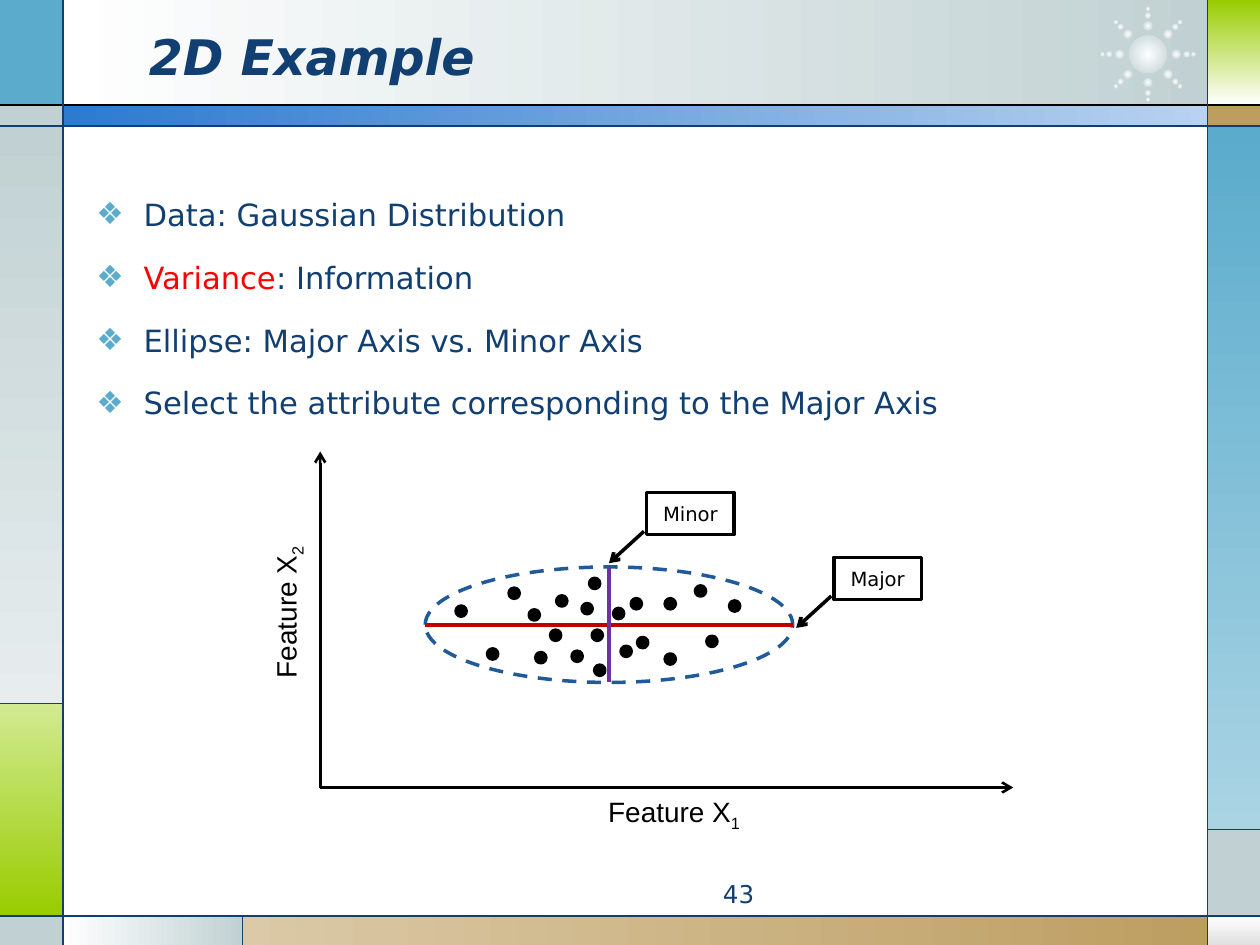
from dataclasses import dataclass
from math import cos, radians, sin
from typing import NamedTuple

from lxml.etree import SubElement
from pptx import Presentation
from pptx.dml.color import RGBColor
from pptx.enum.dml import MSO_LINE
from pptx.enum.shapes import MSO_CONNECTOR, MSO_SHAPE
from pptx.enum.text import MSO_ANCHOR, PP_ALIGN
from pptx.oxml.ns import qn
from pptx.util import Pt


class Box(NamedTuple):
    left: float
    top: float
    width: float
    height: float


@dataclass(frozen=True)
class Theme:
    navy: str = "113F71"
    sky: str = "5AABCC"
    pale_sky: str = "AAD4E4"
    gray: str = "C1D1D3"
    pale_gray: str = "E7EDEE"
    green: str = "99CC00"
    pale_green: str = "D2EA92"
    tan: str = "BD9E61"
    pale_tan: str = "DBC9A7"
    blue: str = "2D7ACF"
    pale_blue: str = "B8D2EF"
    white: str = "FFFFFF"
    silver: str = "E0E0E0"
    black: str = "000000"
    highlight: str = "FF0000"
    ellipse: str = "215A99"
    major: str = "C00000"
    minor: str = "7030A0"
    font: str = "DejaVu Sans"
    axis_font: str = "Arial"
    title_size: float = 28
    body_size: float = 17.5
    axis_size: float = 16
    number_size: float = 14
    callout_size: float = 11.2


THEME = Theme()
RIGHT, DOWN = 0, 270

BULLETS = [
    [("Data: Gaussian Distribution", THEME.navy)],
    [("Variance", THEME.highlight), (": Information", THEME.navy)],
    [("Ellipse: Major Axis vs. Minor Axis", THEME.navy)],
    [("Select the attribute corresponding to the Major Axis", THEME.navy)],
]

# Centres of the samples, in points from the top left of the plot
SAMPLES = [
    (138, 85.4), (152.5, 89.8), (134.5, 105), (146.8, 117), (98.5, 115.7),
    (180.6, 87), (200, 118.6), (174.8, 114.2), (217.3, 79.7), (184.2, 109.2),
    (110.8, 81), (122.3, 93.4), (200, 87), (236.8, 88.3), (223.8, 108.5),
    (126, 117.8), (159.7, 125), (80.5, 91.2), (156.8, 75.4), (158.3, 105),
    (170.5, 92.6),
]


def color(code):
    return RGBColor.from_string(code)


def add_arrowhead(shape):
    SubElement(shape.line._get_or_add_ln(), qn("a:tailEnd"), type="arrow")


def add_figure(slide, kind, box, fill=None, line=None, weight=2, direction=RIGHT):
    """Add a preset shape; a pair of colours as fill makes a gradient."""
    shape = slide.shapes.add_shape(kind, *map(Pt, box))
    shape.shadow.inherit = False
    if fill is None:
        shape.fill.background()
    elif isinstance(fill, tuple):
        shape.fill.gradient()
        shape.fill.gradient_angle = direction
        for stop, code in zip(shape.fill.gradient_stops, fill):
            stop.color.rgb = color(code)
    else:
        shape.fill.solid()
        shape.fill.fore_color.rgb = color(fill)
    if line is None:
        shape.line.fill.background()
    else:
        shape.line.color.rgb = color(line)
        shape.line.width = Pt(weight)
    return shape


def add_line(slide, start, end, line, weight=0.75, arrow=False):
    connector = slide.shapes.add_connector(MSO_CONNECTOR.STRAIGHT, *map(Pt, start + end))
    connector.line.color.rgb = color(line)
    connector.line.width = Pt(weight)
    SubElement(connector._element.spPr, qn("a:effectLst"))
    if arrow:
        add_arrowhead(connector)


def add_run(paragraph, text, size, code=THEME.navy, font=THEME.font, bold=None,
            italic=None, baseline=None):
    run = paragraph.add_run()
    run.text = text
    run.font.size, run.font.name = Pt(size), font
    run.font.bold, run.font.italic = bold, italic
    run.font.color.rgb = color(code)
    if baseline:
        run.font._element.set("baseline", str(baseline * 1000))


def add_text_frame(slide, box, wrap=True, anchor=MSO_ANCHOR.TOP, rotation=0):
    shape = slide.shapes.add_textbox(*map(Pt, box))
    shape.rotation = rotation
    shape.text_frame.word_wrap = wrap
    shape.text_frame.vertical_anchor = anchor
    return shape.text_frame


def add_frame(slide, box):
    """Colour bands along the four edges, with the lines between them."""
    left, top, width, height = box
    right, bottom = left + width, top + height
    inner_left, inner_right = left + 36, right - 30
    header, bar, footer = top + 60, top + 72, bottom - 16.5
    green_top, gray_top, tan_left = top + 402, top + 474, left + 138.5
    bands = [
        (inner_left, top, inner_right, header, (THEME.white, THEME.gray), RIGHT),
        (left, top, inner_left, header, THEME.sky, RIGHT),
        (left, header, inner_left, bar, THEME.gray, RIGHT),
        (left, bar, inner_left, green_top, (THEME.gray, THEME.pale_gray), DOWN),
        (left, green_top, inner_left, footer, (THEME.pale_green, THEME.green), DOWN),
        (left, footer, inner_left, bottom, THEME.gray, RIGHT),
        (inner_left, footer, tan_left, bottom, (THEME.white, THEME.gray), RIGHT),
        (tan_left, footer, inner_right, bottom, (THEME.pale_tan, THEME.tan), RIGHT),
        (inner_right, footer, right, bottom, (THEME.white, THEME.silver), DOWN),
        (inner_right, gray_top, right, footer, THEME.gray, RIGHT),
        (inner_right, bar, right, gray_top, (THEME.sky, THEME.pale_sky), DOWN),
        (inner_right, header, right, bar, THEME.tan, RIGHT),
        (inner_right, top, right, header, (THEME.green, THEME.white), DOWN),
        (inner_left, header, inner_right, bar, (THEME.blue, THEME.pale_blue), RIGHT),
    ]
    for x1, y1, x2, y2, fill, direction in bands:
        add_figure(slide, MSO_SHAPE.RECTANGLE, Box(x1, y1, x2 - x1, y2 - y1), fill,
                   direction=direction)
    add_line(slide, (left, header), (right, header), THEME.black)
    for start, end in [
        ((left, bar), (right, bar)),
        ((left, footer), (right, footer)),
        ((inner_left, top), (inner_left, bottom)),
        ((inner_right, top), (inner_right, bottom)),
        ((left, green_top), (inner_left, green_top)),
        ((tan_left, footer), (tan_left, bottom)),
        ((inner_right, gray_top), (right, gray_top)),
    ]:
        add_line(slide, start, end, THEME.navy)


def add_starburst(slide, box):
    """A glowing disc with eight rays of three shrinking dots."""
    center_x, center_y = box.left + box.width / 2, box.top + box.height / 2

    def add_glow(x, y, size):
        glow = add_figure(slide, MSO_SHAPE.OVAL, Box(x - size / 2, y - size / 2, size, size),
                          (THEME.white, THEME.gray))
        gradient = glow._element.spPr.find(qn("a:gradFill"))
        gradient.remove(gradient.find(qn("a:lin")))
        shade = SubElement(gradient, qn("a:path"), path="circle")
        SubElement(shade, qn("a:fillToRect"), l="50000", t="50000", r="50000", b="50000")

    add_glow(center_x, center_y, box.width * 0.4)
    for angle in range(0, 360, 45):
        for reach, size in [(0.3, 5.2), (0.41, 3.5), (0.48, 2.5)]:
            add_glow(center_x + box.width * reach * cos(radians(angle)),
                     center_y + box.height * reach * sin(radians(angle)), size)


def add_title(slide, box, text):
    paragraph = add_text_frame(slide, box, anchor=MSO_ANCHOR.MIDDLE).paragraphs[0]
    add_run(paragraph, text, THEME.title_size, bold=True, italic=True)


def add_bullets(slide, box, items):
    frame = add_text_frame(slide, box)
    for index, runs in enumerate(items):
        paragraph = frame.add_paragraph() if index else frame.paragraphs[0]
        paragraph.line_spacing = 1.5
        paragraph.space_before = Pt(4.4 if index else 0)
        properties = paragraph._p.get_or_add_pPr()
        properties.set("marL", str(Pt(27)))
        properties.set("indent", str(Pt(-27)))
        SubElement(SubElement(properties, qn("a:buClr")), qn("a:srgbClr"), val=THEME.sky)
        SubElement(properties, qn("a:buFont"), typeface=THEME.font)
        SubElement(properties, qn("a:buChar"), char="❖")
        for text, code in runs:
            add_run(paragraph, text, THEME.body_size, code)


def add_page_number(slide, box, number):
    paragraph = add_text_frame(slide, box).paragraphs[0]
    paragraph.alignment = PP_ALIGN.RIGHT
    add_run(paragraph, number, THEME.number_size)


def add_axis_label(slide, box, subscript, rotation=0):
    paragraph = add_text_frame(slide, box, wrap=False, rotation=rotation).paragraphs[0]
    style = dict(size=THEME.axis_size, code=THEME.black, font=THEME.axis_font)
    add_run(paragraph, "Feature X", **style)
    add_run(paragraph, subscript, baseline=-25, **style)


def add_callout(slide, box, text):
    callout = add_figure(slide, MSO_SHAPE.LINE_CALLOUT_1, box, line=THEME.black)
    for index, value in enumerate([0.92, -0.03, 1.68, -0.43]):
        callout.adjustments[index] = value
    add_arrowhead(callout)
    frame = callout.text_frame
    frame.margin_top = frame.margin_bottom = 0
    frame.vertical_anchor = MSO_ANCHOR.MIDDLE
    frame.paragraphs[0].alignment = PP_ALIGN.CENTER
    add_run(frame.paragraphs[0], text, THEME.callout_size, THEME.black)


def add_plot(slide, box):
    left, top, width, height = box
    cloud = Box(left + 60, top + 66, 210, 66)
    middle_x, middle_y = cloud.left + cloud.width / 2, cloud.top + cloud.height / 2
    outline = add_figure(slide, MSO_SHAPE.OVAL, cloud, line=THEME.ellipse)
    outline.line.dash_style = MSO_LINE.DASH
    add_line(slide, (cloud.left, middle_y), (cloud.left + cloud.width, middle_y),
             THEME.major, 2.25)
    add_line(slide, (middle_x, cloud.top), (middle_x, cloud.top + cloud.height),
             THEME.minor, 2.25)
    dot = 5.8
    for x, y in SAMPLES:
        add_figure(slide, MSO_SHAPE.OVAL,
                   Box(left + x - dot / 2, top + y - dot / 2, dot, dot),
                   THEME.black, THEME.black)
    add_callout(slide, Box(left + 186.5, top + 23.5, 50, 24), "Minor")
    add_callout(slide, Box(left + 293.5, top + 60.5, 50, 24), "Major")
    origin = (left, top + height)
    for end in [(left + width, top + height), (left, top)]:
        add_line(slide, origin, end, THEME.black, 1.5, arrow=True)
    add_axis_label(slide, Box(left + 157.5, top + height + 0.7, 94.5, 26.6), "1")
    add_axis_label(slide, Box(left - 67, top + 76, 94.5, 26.6), "2", rotation=270)


def main():
    presentation = Presentation()
    presentation.slide_width, presentation.slide_height = Pt(720), Pt(540)
    slide = presentation.slides.add_slide(presentation.slide_layouts[6])
    add_frame(slide, Box(0, 0, 720, 540))
    add_starburst(slide, Box(629, 4, 54, 54))
    add_title(slide, Box(78, 9.5, 528, 44.5), "2D Example")
    add_bullets(slide, Box(48, 98, 631.5, 160), BULLETS)
    add_page_number(slide, Box(270, 499, 168, 19.5), "43")
    add_plot(slide, Box(183, 258, 396, 192))
    presentation.save("out.pptx")


if __name__ == "__main__":
    main()
